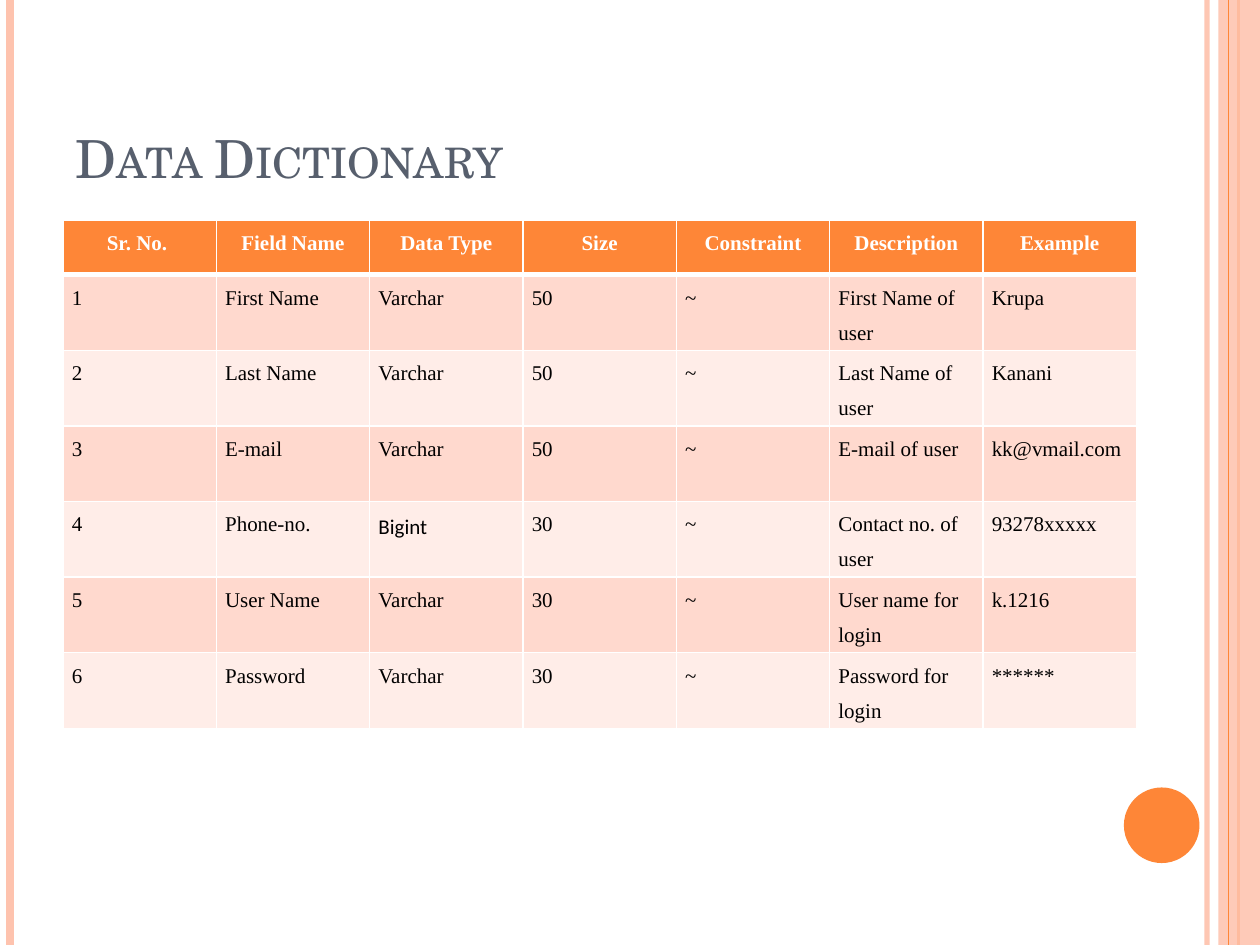
from dataclasses import dataclass

from lxml import etree
from pptx import Presentation
from pptx.dml.color import RGBColor
from pptx.enum.shapes import MSO_CONNECTOR, MSO_SHAPE
from pptx.enum.text import MSO_ANCHOR, PP_ALIGN
from pptx.oxml.ns import qn
from pptx.util import Inches, Pt

STRAIGHT = MSO_CONNECTOR.STRAIGHT
RECTANGLE, OVAL = MSO_SHAPE.RECTANGLE, MSO_SHAPE.OVAL
BOTTOM = MSO_ANCHOR.BOTTOM
LEFT, CENTER = PP_ALIGN.LEFT, PP_ALIGN.CENTER

ORANGE = RGBColor(0xFE, 0x86, 0x37)
PEACH = RGBColor(0xFE, 0xC3, 0xAE)
SLATE = RGBColor(0x57, 0x5F, 0x6D)
ROSE = RGBColor(0xFF, 0xD9, 0xCE)
PALE_ROSE = RGBColor(0xFF, 0xED, 0xE8)
WHITE = RGBColor(0xFF, 0xFF, 0xFF)
BLACK = RGBColor(0, 0, 0)

TITLE_FONT, BODY_FONT, BIGINT_FONT = "TeX Gyre Schola", "Times New Roman", "Calibri"
SLIDE_WIDTH, SLIDE_HEIGHT = 10, 7.5
TABLE_LEFT, TABLE_TOP, TABLE_WIDTH = 0.5, 1.75, 8.52
HEADER_HEIGHT, FIELD_HEIGHT = 0.43, 0.6


@dataclass(frozen=True)
class Stripe:
    x: float
    weight: float
    color: RGBColor
    opacity: int = 100


@dataclass(frozen=True)
class Field:
    name: str
    data_type: str
    size: int
    description: str
    example: str


@dataclass(frozen=True)
class CellStyle:
    fill: RGBColor
    text: RGBColor
    align: PP_ALIGN
    bold: bool
    bottom_border: float


HEADER_STYLE = CellStyle(ORANGE, WHITE, CENTER, True, 3)
BAND_STYLES = [CellStyle(fill, BLACK, LEFT, False, 1) for fill in (ROSE, PALE_ROSE)]

BACK_STRIPES = [Stripe(9.58, 3, PEACH, 93), Stripe(0.08, 4.5, PEACH), Stripe(9.83, 1.5, ORANGE)]
FRONT_STRIPE = Stripe(9.75, 0.75, ORANGE)

HEADINGS = ["Sr. No. ", "Field Name", "Data Type", "Size", "Constraint", "Description", "Example"]
FIELDS = [
    Field("First Name", "Varchar", 50, "First Name of user", "Krupa"),
    Field("Last Name", "Varchar", 50, "Last Name of user", "Kanani"),
    Field("E-mail", "Varchar", 50, "E-mail of user", "kk@vmail.com"),
    Field("Phone-no.", "Bigint", 30, "Contact no. of user", "93278xxxxx"),
    Field("User Name", "Varchar", 30, "User name for login", "k.1216"),
    Field("Password", "Varchar", 30, "Password for login", "******"),
]


def set_opacity(properties, percent: int) -> None:
    color = next(properties.iter(qn("a:srgbClr")))
    etree.SubElement(color, qn("a:alpha"), val=str(percent * 1000))


def draw_stripe(slide, stripe: Stripe) -> None:
    x = Inches(stripe.x)
    line = slide.shapes.add_connector(STRAIGHT, x, 0, x, Inches(SLIDE_HEIGHT))
    line.line.color.rgb = stripe.color
    line.line.width = Pt(stripe.weight)
    properties = line._element.spPr
    if stripe.opacity < 100:
        set_opacity(properties, stripe.opacity)
    etree.SubElement(properties, qn("a:effectLst"))


def draw_shape(slide, kind, left: float, top: float, width: float, height: float,
               color: RGBColor, opacity: int = 100) -> None:
    shape = slide.shapes.add_shape(kind, Inches(left), Inches(top), Inches(width), Inches(height))
    shape.shadow.inherit = False
    shape.fill.solid()
    shape.fill.fore_color.rgb = color
    shape.line.fill.background()
    if opacity < 100:
        set_opacity(shape._element.spPr, opacity)


def write_title(slide, text: str) -> None:
    title = slide.shapes.title
    title.left, title.top = Inches(0.5), Inches(0.3)
    title.width, title.height = Inches(8.17), Inches(1.25)
    title.text_frame.vertical_anchor = BOTTOM
    paragraph = title.text_frame.paragraphs[0]
    paragraph.alignment = LEFT
    run = paragraph.add_run()
    run.text = text
    run.font.size = Pt(30)
    run.font.name = TITLE_FONT
    run.font.color.rgb = SLATE
    run.font._element.set("cap", "small")


def set_borders(cell, top: float, bottom: float) -> None:
    properties = cell._tc.get_or_add_tcPr()
    weights = {"a:lnL": 1, "a:lnR": 1, "a:lnT": top, "a:lnB": bottom}
    for position, (side, weight) in enumerate(weights.items()):
        border = etree.Element(qn(side), w=str(Pt(weight)))
        fill = etree.SubElement(border, qn("a:solidFill"))
        etree.SubElement(fill, qn("a:srgbClr"), val=str(WHITE))
        properties.insert(position, border)


def write_cell(cell, text: str, style: CellStyle, top_border: float) -> None:
    cell.margin_left = cell.margin_right = Inches(0.07)
    cell.margin_top = cell.margin_bottom = 0
    cell.fill.solid()
    cell.fill.fore_color.rgb = style.fill
    set_borders(cell, top_border, style.bottom_border)
    paragraph = cell.text_frame.paragraphs[0]
    paragraph.alignment = style.align
    paragraph.line_spacing = 1.5
    run = paragraph.add_run()
    run.text = text
    run.font.size = Pt(12)
    run.font.name = BIGINT_FONT if text == "Bigint" else BODY_FONT
    run.font.bold = style.bold
    run.font.color.rgb = style.text


def draw_dictionary(slide) -> None:
    rows = [HEADINGS] + [
        [str(number), field.name, field.data_type, str(field.size), "~",
         field.description, field.example]
        for number, field in enumerate(FIELDS, 1)
    ]
    height = HEADER_HEIGHT + FIELD_HEIGHT * len(FIELDS)
    dictionary = slide.shapes.add_table(
        len(rows), len(HEADINGS), Inches(TABLE_LEFT), Inches(TABLE_TOP),
        Inches(TABLE_WIDTH), Inches(height)).table
    for column in dictionary.columns:
        column.width = Inches(TABLE_WIDTH / len(HEADINGS))
    top_border = 1
    for index, texts in enumerate(rows):
        dictionary.rows[index].height = Inches(FIELD_HEIGHT if index else HEADER_HEIGHT)
        style = BAND_STYLES[(index - 1) % 2] if index else HEADER_STYLE
        for column, text in enumerate(texts):
            write_cell(dictionary.cell(index, column), text, style, top_border)
        top_border = style.bottom_border


def main() -> None:
    deck = Presentation()
    deck.slide_width, deck.slide_height = Inches(SLIDE_WIDTH), Inches(SLIDE_HEIGHT)
    slide = deck.slides.add_slide(deck.slide_layouts[5])
    for stripe in BACK_STRIPES:
        draw_stripe(slide, stripe)
    draw_shape(slide, RECTANGLE, 9.67, 0, 0.33, SLIDE_HEIGHT, PEACH, 87)
    draw_stripe(slide, FRONT_STRIPE)
    draw_shape(slide, OVAL, 8.92, 6.25, 0.6, 0.6, ORANGE)
    write_title(slide, "Data Dictionary")
    draw_dictionary(slide)
    deck.save("out.pptx")


if __name__ == "__main__":
    main()
